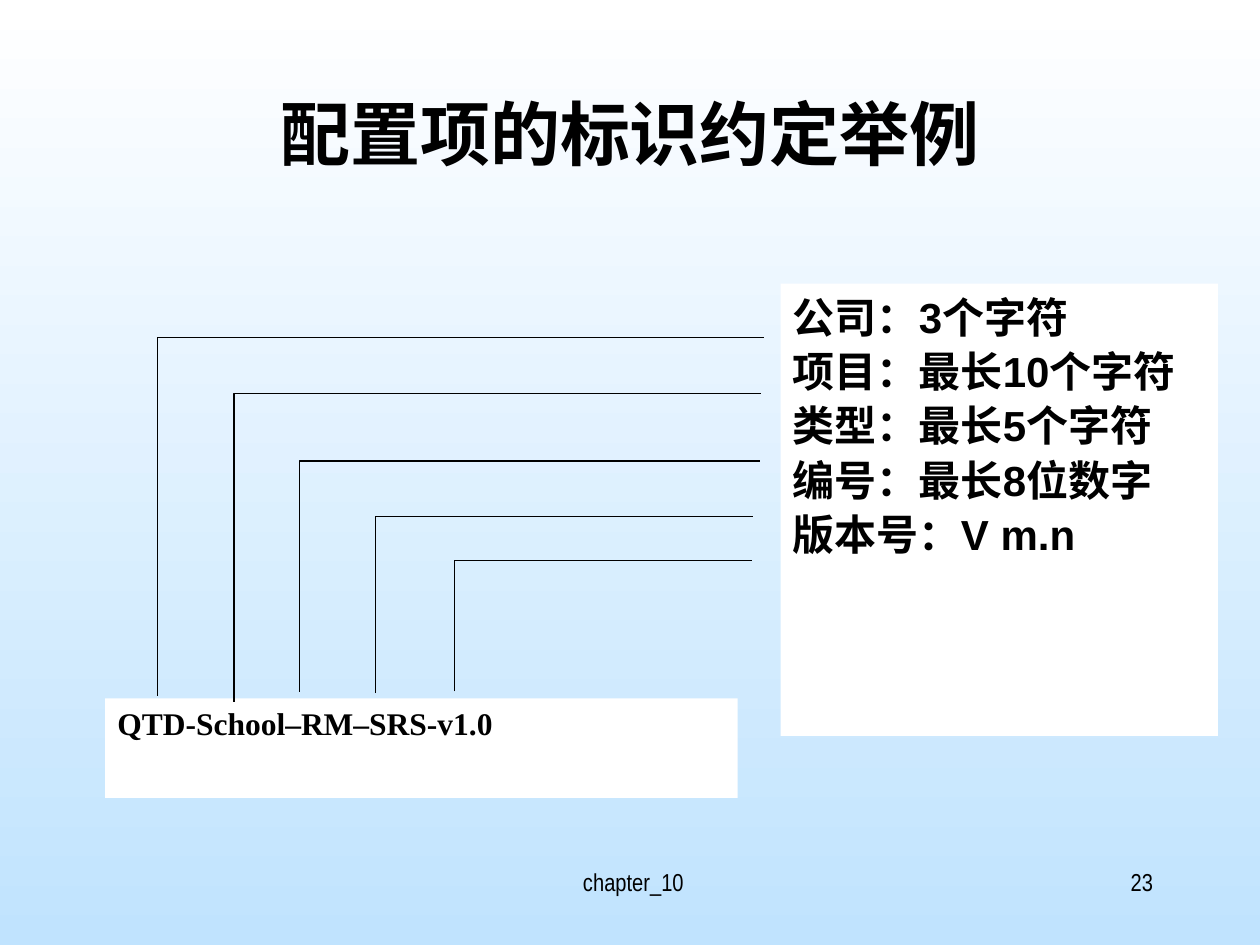
from pptx import Presentation
from pptx.dml.color import RGBColor
from pptx.enum.lang import MSO_LANGUAGE_ID
from pptx.enum.shapes import MSO_SHAPE
from pptx.enum.text import MSO_ANCHOR, PP_ALIGN
from pptx.util import Pt

BLACK = RGBColor(0x00, 0x00, 0x00)
WHITE = RGBColor(0xFF, 0xFF, 0xFF)
SKY = RGBColor(0xC0, 0xE3, 0xFE)

TITLE = {"name": "Noto Sans CJK SC", "size": Pt(40), "bold": True}
LEGEND = {"name": "Arial", "size": Pt(24), "bold": True}
IDENTIFIER = {"name": "Times New Roman", "size": Pt(18), "bold": True}
FOOTER = {"name": "Arial Narrow", "size": Pt(14), "bold": False}
LEGEND_SPACING = {"line_spacing": 1.04, "space_after": Pt(1)}

FIELDS = [
    "公司：3个字符",
    "项目：最长10个字符",
    "类型：最长5个字符",
    "编号：最长8位数字",
    "版本号：V m.n",
]
LEADERS = [
    (90, 397.5, 192.75, 436.5),
    (133.75, 401, 224.75, 435),
    (171.25, 395.25, 263.5, 434.25),
    (214.5, 396, 295, 430.5),
    (259.75, 395, 320.25, 430),
]


class SlideBuilder:
    """Draws styled elements on the current slide, with lengths in points."""

    def __init__(self, slide):
        self.slide = slide

    def background(self, top_color, bottom_color):
        fill = self.slide.background.fill
        fill.gradient()
        fill.gradient_angle = 270
        for stop, color in zip(fill.gradient_stops, (top_color, bottom_color)):
            stop.color.rgb = color

    def set_text(self, shape, lines, style, align, spacing):
        frame = shape.text_frame
        frame.word_wrap = True
        frame.vertical_anchor = MSO_ANCHOR.TOP
        frame.text = "\n".join(lines)
        for paragraph in frame.paragraphs:
            for key, value in {"alignment": align, **spacing}.items():
                setattr(paragraph, key, value)
            font = paragraph.runs[0].font
            font.color.rgb = BLACK
            font.language_id = MSO_LANGUAGE_ID.SIMPLIFIED_CHINESE
            for key, value in style.items():
                setattr(font, key, value)

    def label(self, box, text, style, align):
        shape = self.slide.shapes.add_textbox(*map(Pt, box))
        self.set_text(shape, [text], style, align, {})

    def panel(self, box, lines, style, spacing):
        shape = self.slide.shapes.add_shape(MSO_SHAPE.RECTANGLE, *map(Pt, box))
        shape.shadow.inherit = False
        shape.fill.solid()
        shape.fill.fore_color.rgb = WHITE
        shape.line.fill.background()
        self.set_text(shape, lines, style, PP_ALIGN.JUSTIFY, spacing)

    def leader(self, left, bottom, top, right):
        builder = self.slide.shapes.build_freeform(Pt(left), Pt(bottom))
        corner, end = (Pt(left), Pt(top)), (Pt(right), Pt(top))
        builder.add_line_segments([corner, end], close=False)
        elbow = builder.convert_to_shape()
        elbow.shadow.inherit = False
        elbow.fill.background()
        elbow.line.color.rgb = BLACK
        elbow.line.width = Pt(0.75)


def main():
    presentation = Presentation()
    presentation.slide_width, presentation.slide_height = Pt(720), Pt(540)
    builder = SlideBuilder(
        presentation.slides.add_slide(presentation.slide_layouts[6])
    )
    builder.background(WHITE, SKY)
    builder.label((246.25, 491.75, 228.25, 36), " chapter_10", FOOTER, PP_ALIGN.CENTER)
    builder.label((516.25, 491.75, 149.75, 36), "23", FOOTER, PP_ALIGN.RIGHT)
    builder.label((54, 48, 612, 90), "配置项的标识约定举例", TITLE, PP_ALIGN.CENTER)
    builder.panel((60, 399, 361.5, 57), ["QTD-School–RM–SRS-v1.0"], IDENTIFIER, {})
    builder.panel((446, 162, 250, 258.5), FIELDS, LEGEND, LEGEND_SPACING)
    for leader in LEADERS:
        builder.leader(*leader)
    presentation.save("out.pptx")


if __name__ == "__main__":
    main()
